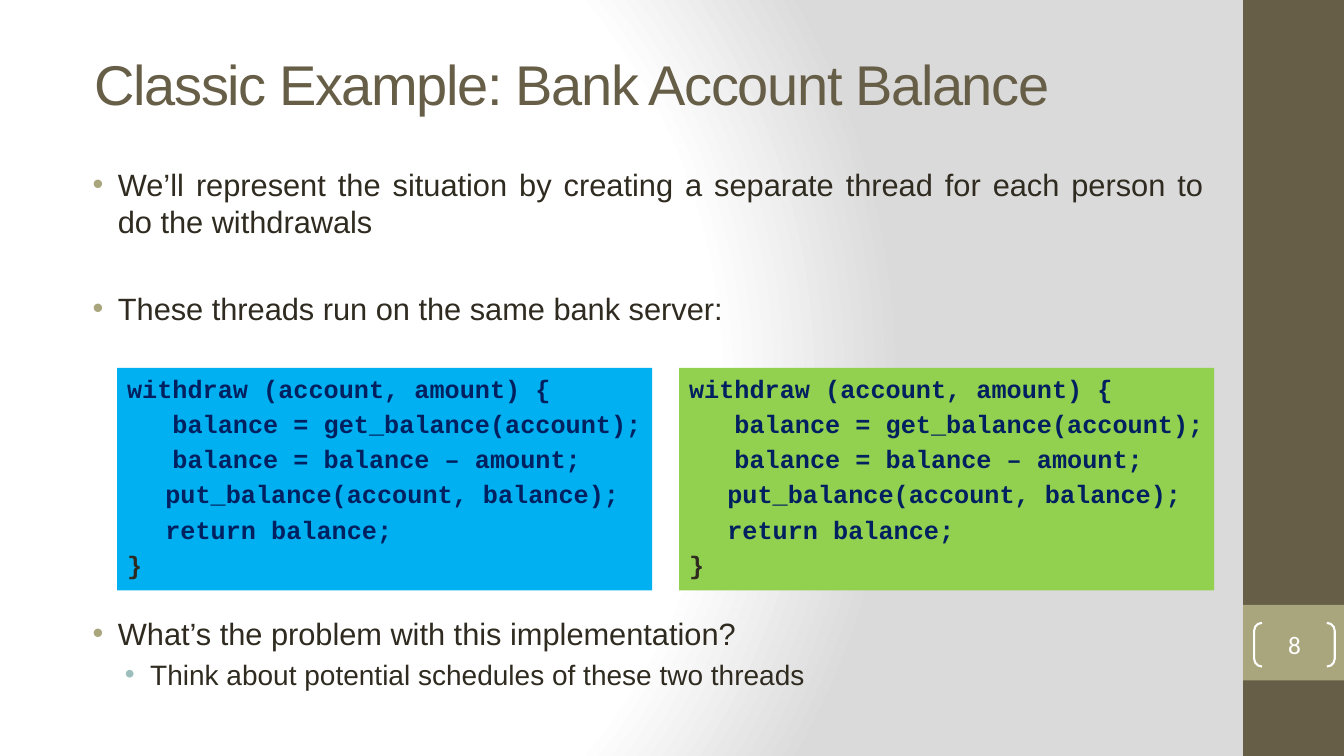
from lxml import etree
from pptx import Presentation
from pptx import util as u
from pptx.dml.color import RGBColor
from pptx.enum import shapes, text
from pptx.oxml import parse_xml
from pptx.oxml.ns import nsdecls, qn

COLS, ROWS = 160, 90
WIDTH, HEIGHT = u.Inches(13.33), u.Inches(7.5)
COLORS = {
    "brown": "675E47", "khaki": "A9A57C", "teal": "9CBEBD", "ink": "2F2B20",
    "navy": "002060", "blue": "00B0F0", "green": "92D050",
    "white": "FFFFFF", "gray": "DADADA",
}
CODE = [
    "withdraw (account, amount) {",
    "   balance = get_balance(account);",
    "   balance = balance – amount;",
    "\tput_balance(account, balance);",
    "\treturn balance;",
    "}",
]
# text, size, left margin, space before, bullet colour
BULLETS = [
    ("We’ll represent the situation by creating a separate thread "
     "for each person to do the withdrawals", 22, 0.38, 0, "khaki"),
    ("These threads run on the same bank server:", 22, 0.38, 36, "khaki"),
    ("What’s the problem with this implementation?", 22, 0.38, 205.5, "khaki"),
    ("Think about potential schedules of these two threads", 20, 0.7, 4.4, "teal"),
]


def rgb(name):
    return RGBColor.from_string(COLORS[name])


def place(col, row, cols, rows):
    """Turn grid columns and rows into slide lengths."""
    return (int(WIDTH * col / COLS), int(HEIGHT * row / ROWS),
            int(WIDTH * cols / COLS), int(HEIGHT * rows / ROWS))


def set_background(slide):
    stops = "".join(
        f'<a:gs pos="{pos}"><a:srgbClr val="{COLORS[name]}"/></a:gs>'
        for pos, name in ((0, "white"), (75000, "white"), (100000, "gray")))
    bg = parse_xml(
        f'<p:bg {nsdecls("p", "a")}><p:bgPr><a:gradFill rotWithShape="1">'
        f'<a:gsLst>{stops}</a:gsLst><a:path path="circle">'
        '<a:fillToRect l="20000" t="50000" r="100000" b="50000"/></a:path>'
        '</a:gradFill><a:effectLst/></p:bgPr></p:bg>')
    slide.element.cSld.insert(0, bg)


def add_block(slide, cell, fill=None, line=None, kind="RECTANGLE"):
    sp = slide.shapes.add_shape(getattr(shapes.MSO_SHAPE, kind), *place(*cell))
    sp.shadow.inherit = False
    if fill:
        sp.fill.solid()
        sp.fill.fore_color.rgb = rgb(fill)
    else:
        sp.fill.background()
    if line:
        sp.line.color.rgb = rgb(line)
        sp.line.width = u.Pt(1.5)
    else:
        sp.line.fill.background()
    return sp


def frame(sp, anchor="TOP", inset=(0.1, 0.05)):
    """Prepare a shape's text frame; inset is the side and top margin."""
    tf = sp.text_frame
    tf.word_wrap = True
    tf.vertical_anchor = getattr(text.MSO_ANCHOR, anchor)
    tf.margin_left = tf.margin_right = u.Inches(inset[0])
    tf.margin_top = tf.margin_bottom = u.Inches(inset[1])
    return tf


def write(tf, words, size, color="ink", font="Arial", bold=False, align="LEFT",
          margin=0, hang=0, before=0, bullet=None, spacing=None):
    """Add one formatted paragraph to a text frame."""
    first = tf.paragraphs[0]
    p = tf.add_paragraph() if first.runs else first
    p.alignment = getattr(text.PP_ALIGN, align)
    if before:
        p.space_before = u.Pt(before)
    pPr = p._p.get_or_add_pPr()
    pPr.set("marL", str(u.Inches(margin)))
    pPr.set("indent", str(-u.Inches(hang)))
    if bullet:
        clr = etree.SubElement(pPr, qn("a:buClr"))
        etree.SubElement(clr, qn("a:srgbClr"), val=COLORS[bullet])
        etree.SubElement(pPr, qn("a:buFont"), typeface="Arial")
        etree.SubElement(pPr, qn("a:buChar"), char="•")
    r = p.add_run()
    r.text = words
    r.font.size = u.Pt(size)
    r.font.name = font
    r.font.bold = bold
    r.font.color.rgb = rgb(color)
    if spacing:
        r.font._element.set("spc", str(spacing * 100))


def add_code(slide, cell, fill):
    tf = frame(add_block(slide, cell, fill))
    for i, line in enumerate(CODE):
        write(tf, line, 18, "ink" if line == "}" else "navy", "Courier New",
              bold=True, margin=0.38, hang=0.38, before=3.6 if i else 0)


def add_sidebar(slide):
    add_block(slide, (148, 0, 12, ROWS), "brown")
    add_block(slide, (148, 72, 12, 9), "khaki")
    badge = add_block(slide, (149.3, 74.15, 9.6, 5.2), line="white",
                      kind="DOUBLE_BRACKET")
    badge.adjustments[0] = 0.18
    write(frame(badge, "MIDDLE", (0, 0)), "8", 18, "white", "Calibri",
          align="CENTER")


def main():
    prs = Presentation()
    prs.slide_width, prs.slide_height = WIDTH, HEIGHT
    slide = prs.slides.add_slide(prs.slide_layouts[6])
    set_background(slide)
    add_sidebar(slide)

    title = slide.shapes.add_textbox(*place(10.08, 7.2, 131, 5.4))
    write(frame(title, "MIDDLE"), "Classic Example: Bank Account Balance", 40,
          "brown", spacing=-1)

    body = slide.shapes.add_textbox(*place(8.3, 19.1, 136.2, 70.9))
    tf = frame(body)
    for words, size, margin, before, bullet in BULLETS:
        write(tf, words, size, align="JUSTIFY", margin=margin, hang=0.25,
              before=before, bullet=bullet)

    for i, fill in enumerate(("blue", "green")):
        add_code(slide, (13.95 + 66.9 * i, 43.8, 63.7, 26.5), fill)

    prs.save("out.pptx")


if __name__ == "__main__":
    main()
